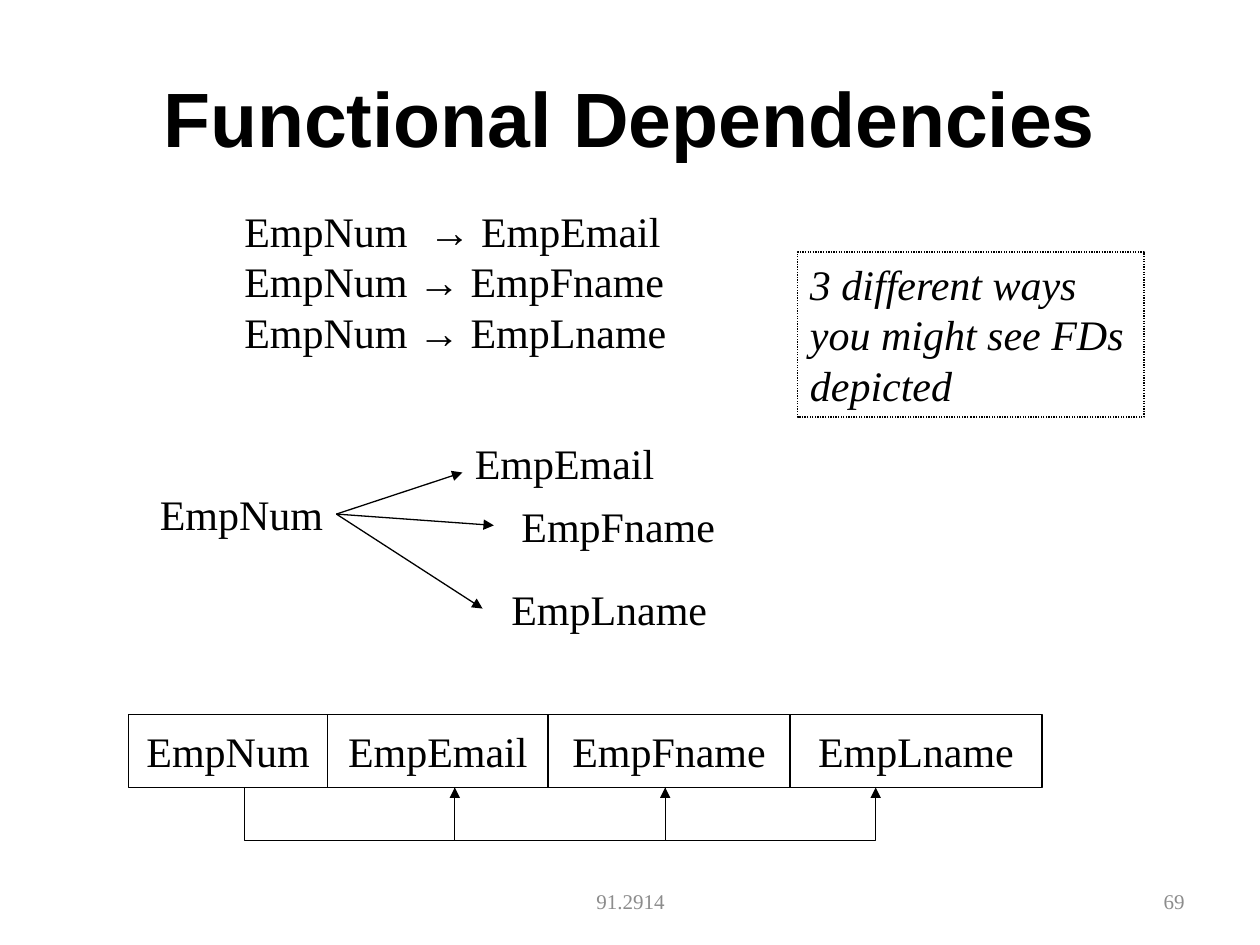
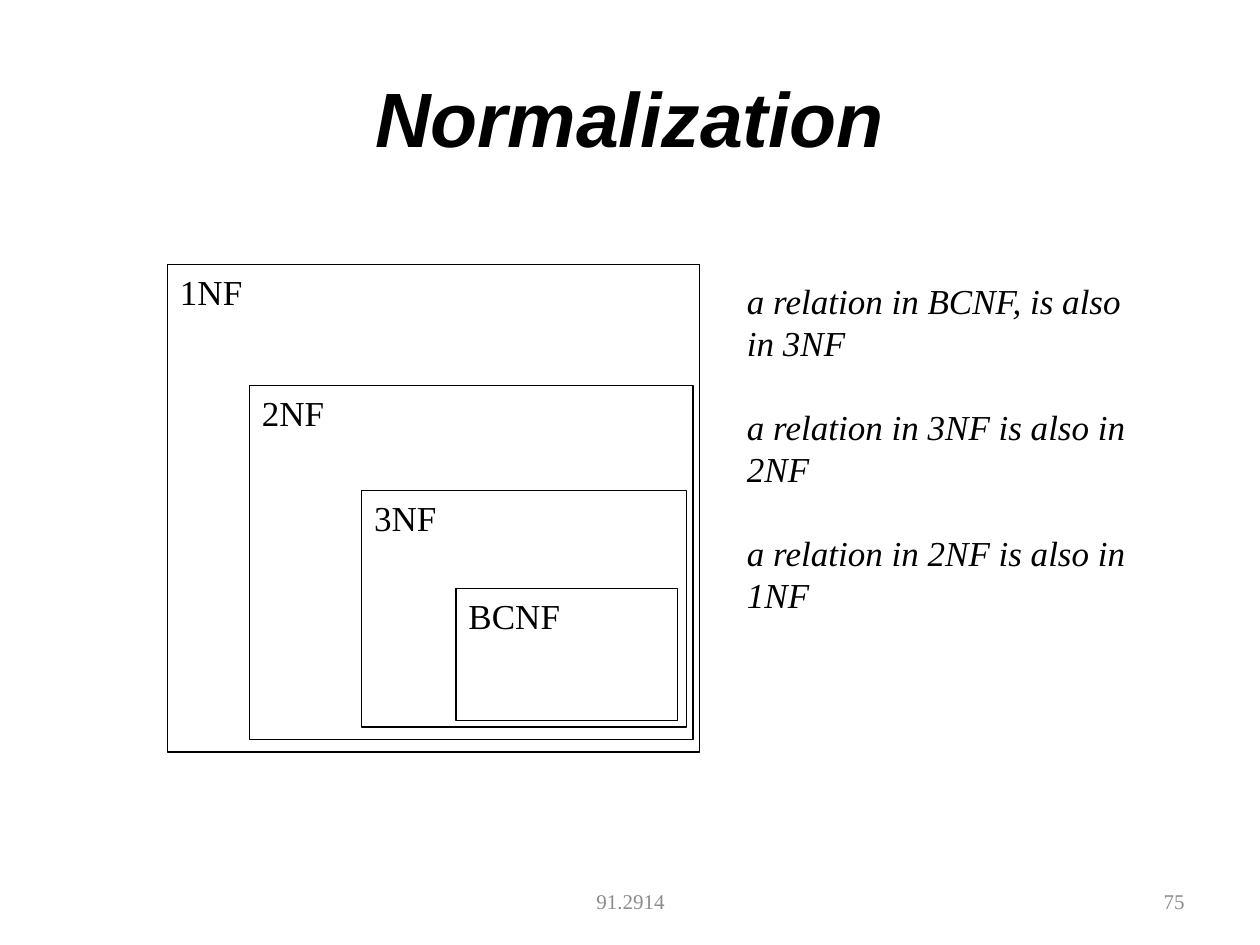
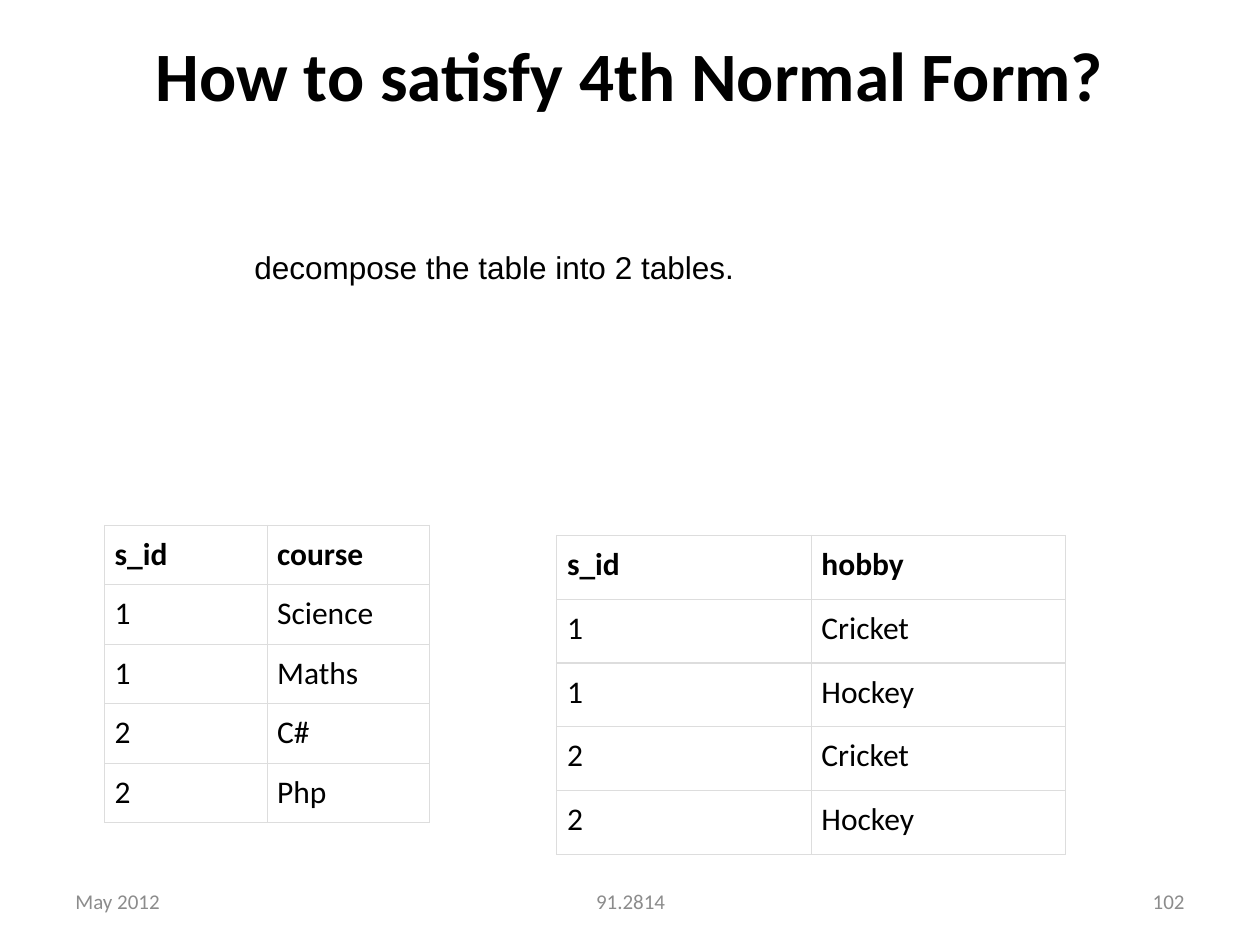
from pptx import Presentation
from pptx.dml.color import RGBColor
from pptx.enum import dml, shapes, text
from pptx.oxml import xmlchemy
from pptx.util import Inches, Pt

COLORS = {"ink": "000000", "muted": "8C8C8C", "grid": "DDDDDD", "paper": "FFFFFF"}
SERIF, SANS, HUMANIST = "Times New Roman", "Arial", "Calibri"
ALIGN, ANCHOR = text.PP_ALIGN, text.MSO_ANCHOR


def color(name):
    return RGBColor.from_string(COLORS[name])


def write(frame, content, size=24, font=SERIF, ink="ink", bold=False, italic=False,
          align=ALIGN.LEFT, anchor=ANCHOR.TOP, gap=0):
    frame.word_wrap = True
    frame.vertical_anchor = anchor
    for index, line in enumerate(content.split("\n")):
        para = frame.add_paragraph() if index else frame.paragraphs[0]
        para.alignment = align
        if index:
            para.space_before = Pt(gap)
        span = para.add_run()
        span.text = line
        span.font.name, span.font.size = font, Pt(size)
        span.font.bold, span.font.italic = bold, italic
        span.font.color.rgb = color(ink)


def child(parent, tag, **attributes):
    element = xmlchemy.OxmlElement(tag)
    for name, value in attributes.items():
        element.set(name, value)
    parent.append(element)
    return element


class Deck:
    def __init__(self):
        self.deck = Presentation()
        self.deck.slide_width, self.deck.slide_height = Inches(10), Inches(7.5)
        self.page = None

    def new_page(self, title, footer, number, date=None, footer_font=SERIF, top=0.3,
                 **title_style):
        self.page = self.deck.slides.add_slide(self.deck.slide_layouts[6])
        style = dict(size=44, font=SANS, bold=True, align=ALIGN.CENTER, anchor=ANCHOR.MIDDLE)
        self.label(title, 0.5, top, 9, 1.25, **{**style, **title_style})
        for content, left, width, align in ((date, 0.5, 2.33, ALIGN.LEFT),
                                            (footer, 3.42, 3.17, ALIGN.CENTER),
                                            (number, 7.17, 2.33, ALIGN.RIGHT)):
            if content:
                self.label(content, left, 6.95, width, 0.4, size=12, font=footer_font,
                           ink="muted", align=align, anchor=ANCHOR.MIDDLE)

    def label(self, content, left, top, width, height, **style):
        box = self.page.shapes.add_textbox(*map(Inches, (left, top, width, height)))
        write(box.text_frame, content, **style)

    def outline(self, shape, arrow=False):
        shape.line.color.rgb = color("ink")
        shape.line.width = Pt(0.75)
        if arrow:
            child(shape.line._get_or_add_ln(), "a:tailEnd", type="triangle")

    def frame(self, content, left, top, width, height, dotted=False, **style):
        box = self.page.shapes.add_shape(shapes.MSO_SHAPE.RECTANGLE,
                                         *map(Inches, (left, top, width, height)))
        box.shadow.inherit = False
        box.fill.background()
        self.outline(box)
        if dotted:
            box.line.dash_style = dml.MSO_LINE.ROUND_DOT
        write(box.text_frame, content, **style)

    def arrow(self, start, end):
        line = self.page.shapes.add_connector(shapes.MSO_CONNECTOR.STRAIGHT,
                                              *map(Inches, start + end))
        self.outline(line, arrow=True)
        child(line._element.spPr, "a:effectLst")

    def elbow(self, left, top, width, height):
        points = [(left, top + height), (left + width, top + height), (left + width, top)]
        builder = self.page.shapes.build_freeform(Inches(left), Inches(top))
        builder.add_line_segments([tuple(map(Inches, point)) for point in points], close=False)
        path = builder.convert_to_shape()
        path.shadow.inherit = False
        path.fill.background()
        self.outline(path, arrow=True)

    def table(self, rows, left, top, width, height):
        table = self.page.shapes.add_table(
            len(rows), len(rows[0]), *map(Inches, (left, top, width, height))).table
        table.horz_banding = False
        for r, row in enumerate(rows):
            for c, content in enumerate(row):
                cell = table.cell(r, c)
                cell.margin_left = cell.margin_right = Inches(0.08)
                cell.margin_top = cell.margin_bottom = Inches(0.08)
                write(cell.text_frame, content, size=18, font=HUMANIST, bold=r == 0)
                self.borders(cell)
                cell.fill.solid()
                cell.fill.fore_color.rgb = color("paper")

    def borders(self, cell):
        properties = cell._tc.get_or_add_tcPr()
        for side in ("a:lnL", "a:lnR", "a:lnT", "a:lnB"):
            line = child(properties, side, w=str(Pt(0.75)))
            child(child(line, "a:solidFill"), "a:srgbClr", val=COLORS["grid"])


def dependencies(deck):
    deck.new_page("Functional Dependencies", "91.2914", "69")
    deck.label("EmpNum  → EmpEmail\nEmpNum → EmpFname\nEmpNum → EmpLname",
               1.84, 1.58, 3.62, 1.3)
    deck.label("EmpNum", 1.17, 3.83, 1.6, 0.5)
    for name, left, top, tip in (("EmpEmail", 3.67, 3.42, (3.67, 3.75)),
                                 ("EmpFname", 4.04, 3.92, (3.92, 4.17)),
                                 ("EmpLname", 3.96, 4.58, (3.83, 4.83))):
        deck.label(name, left, top, 1.9, 0.5)
        deck.arrow((2.67, 4.08), tip)
    left = 1.02
    for name, width in (("EmpNum", 1.58), ("EmpEmail", 1.75),
                        ("EmpFname", 1.92), ("EmpLname", 2)):
        deck.frame(name, left, 5.67, width, 0.58, align=ALIGN.CENTER, anchor=ANCHOR.MIDDLE)
        left += width
    step = 1.67
    for index in range(3):
        deck.elbow(1.94 + index * step, 6.25, step, 0.42)
    deck.frame("3 different ways you might see FDs depicted", 6.33, 2, 2.75, 1.31,
               dotted=True, italic=True)


def normalization(deck):
    deck.new_page("Normalization", "91.2914", "75", italic=True)
    for name, *area in (("BCNF", 3.62, 4.67, 1.76, 1.05), ("3NF", 2.87, 3.89, 2.58, 1.88),
                        ("2NF", 1.98, 3.06, 3.52, 2.81), ("1NF", 1.33, 2.1, 4.22, 3.87)):
        deck.frame(name, *area, size=20)
    deck.label("a relation in BCNF, is also in 3NF\na relation in 3NF is also in 2NF\n"
               "a relation in 2NF is also in 1NF",
               5.83, 2.17, 3.25, 3.65, size=20, italic=True, gap=24)


def fourth_form(deck):
    deck.new_page("How to satisfy 4th Normal Form?", "91.2814", "102", "May 2012",
                  footer_font=HUMANIST, top=0.21, font=HUMANIST, size=39.6, anchor=ANCHOR.TOP)
    deck.table([("s_id", "course"), ("1", "Science"), ("1", "Maths"), ("2", "C#"), ("2", "Php")],
               0.83, 4.17, 2.58, 2.36)
    deck.table([("s_id", "hobby"), ("1", "Cricket"), ("1", "Hockey"), ("2", "Cricket"),
                ("2", "Hockey")], 4.42, 4.25, 4.04, 2.53)
    deck.label("decompose the table into 2 tables.", 1.92, 1.92, 5, 0.91, size=18, font=SANS)


def main():
    deck = Deck()
    dependencies(deck)
    normalization(deck)
    fourth_form(deck)
    deck.deck.save("out.pptx")


if __name__ == "__main__":
    main()
